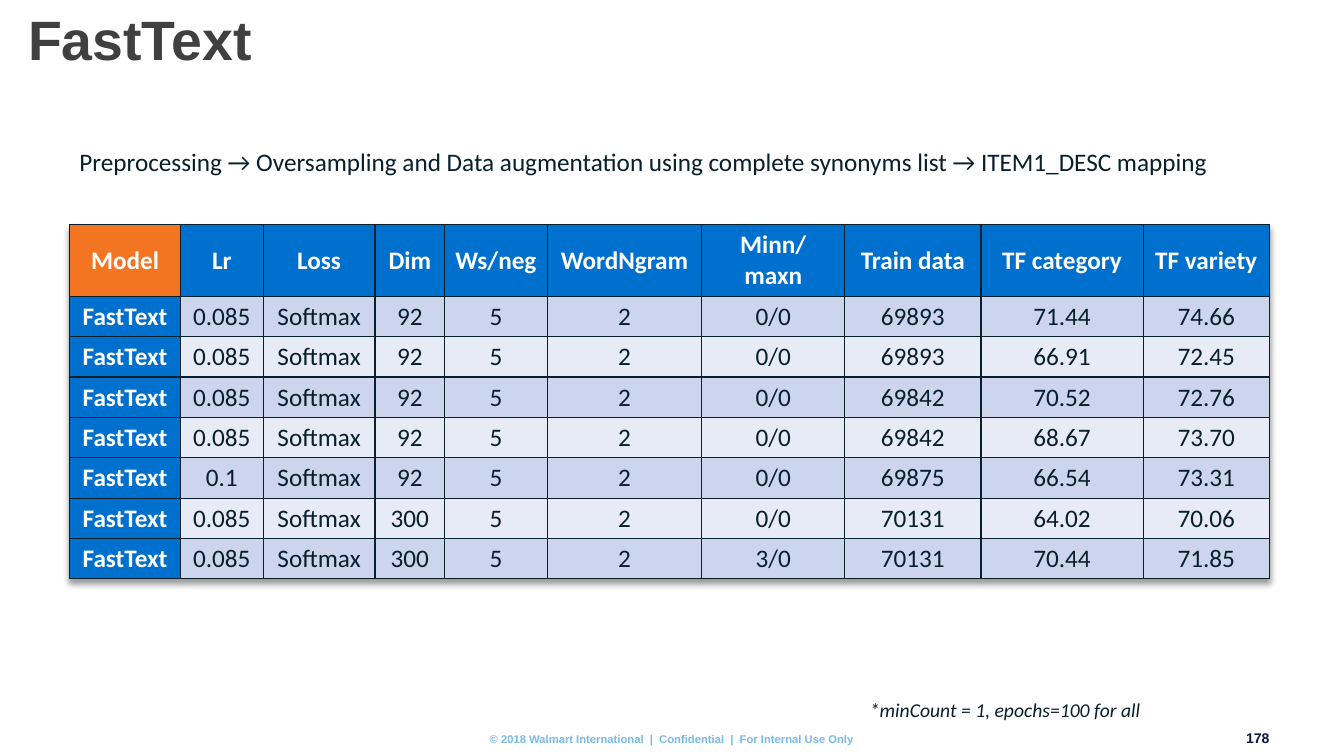
import pptx
import pptx.dml.color
import pptx.enum.text
import pptx.oxml
import pptx.oxml.ns
import pptx.util
from dataclasses import dataclass

Inches = pptx.util.Inches
Pt = pptx.util.Pt
ALIGN = pptx.enum.text.PP_ALIGN
ANCHOR = pptx.enum.text.MSO_ANCHOR


@dataclass(frozen=True)
class Theme:
    heading_font: str = "Arial"
    body_font: str = "Calibri"
    title_size: float = 39.6
    body_size: float = 18
    note_size: float = 14
    number_size: float = 10
    footer_size: float = 8
    title: str = "404041"
    ink: str = "081F2C"
    white: str = "FFFFFF"
    blue: str = "0070CE"
    orange: str = "F47521"
    bands: tuple = ("CCD5ED", "E7EBF6")
    footer: str = "78B9E7"
    number: str = "0B1438"


class SlideBuilder:
    def __init__(self, slide, theme):
        self.slide = slide
        self.theme = theme

    def style(self, paragraph, font, size, color, bold=False, italic=False, align=ALIGN.LEFT):
        paragraph.alignment = align
        for run in paragraph.runs:
            run.font.name = font
            run.font.size = Pt(size)
            run.font.bold = bold
            run.font.italic = italic
            run.font.color.rgb = pptx.dml.color.RGBColor.from_string(color)

    def text(self, place, words, font, size, color, inset=True, anchor=ANCHOR.TOP,
             line_spacing=None, **emphasis):
        frame = self.slide.shapes.add_textbox(*map(Inches, place)).text_frame
        frame.word_wrap = True
        frame.vertical_anchor = anchor
        if not inset:
            frame.margin_left = frame.margin_right = 0
            frame.margin_top = frame.margin_bottom = 0
        frame.text = words
        paragraph = frame.paragraphs[0]
        if line_spacing:
            paragraph.line_spacing = line_spacing
        self.style(paragraph, font, size, color, **emphasis)

    def border(self, cell):
        properties = cell._tc.get_or_add_tcPr()
        for side in ("lnL", "lnR", "lnT", "lnB"):
            properties.append(pptx.oxml.parse_xml(
                f'<a:{side} {pptx.oxml.ns.nsdecls("a")} w="{Pt(1)}"><a:solidFill>'
                f'<a:srgbClr val="{self.theme.ink}"/></a:solidFill></a:{side}>'))

    def cell_colors(self, row, column):
        theme = self.theme
        if row == 0 and column == 0:
            return theme.orange, theme.white
        if row == 0 or column == 0:
            return theme.blue, theme.white
        return theme.bands[(row - 1) % 2], theme.ink

    def table(self, left, top, widths, heights, rows):
        table = self.slide.shapes.add_table(
            len(rows), len(widths), Inches(left), Inches(top),
            Inches(sum(widths)), Inches(sum(heights))).table
        table._tbl.tblPr.insert(0, pptx.oxml.parse_xml(
            f'<a:effectLst {pptx.oxml.ns.nsdecls("a")}>'
            f'<a:outerShdw blurRad="{Pt(4)}" dist="{Pt(3)}" dir="5400000">'
            '<a:srgbClr val="000000"><a:alpha val="40000"/></a:srgbClr>'
            '</a:outerShdw></a:effectLst>'))
        for column, width in zip(table.columns, widths):
            column.width = Inches(width)
        for row, height in zip(table.rows, heights):
            row.height = Inches(height)
        for r, values in enumerate(rows):
            for c, value in enumerate(values):
                cell = table.cell(r, c)
                fill, color = self.cell_colors(r, c)
                self.border(cell)
                cell.fill.solid()
                cell.fill.fore_color.rgb = pptx.dml.color.RGBColor.from_string(fill)
                cell.vertical_anchor = ANCHOR.MIDDLE
                cell.text_frame.text = value
                self.style(cell.text_frame.paragraphs[0], self.theme.body_font,
                           self.theme.body_size, color, bold=r == 0 or c == 0,
                           align=ALIGN.CENTER)


HEADINGS = ("Model", "Lr", "Loss", "Dim", "Ws/neg", "WordNgram", "Minn/maxn",
            "Train data", "TF category", "TF variety")
RUNS = (
    ("0.085", "92", "0/0", "69893", "71.44", "74.66"),
    ("0.085", "92", "0/0", "69893", "66.91", "72.45"),
    ("0.085", "92", "0/0", "69842", "70.52", "72.76"),
    ("0.085", "92", "0/0", "69842", "68.67", "73.70"),
    ("0.1", "92", "0/0", "69875", "66.54", "73.31"),
    ("0.085", "300", "0/0", "70131", "64.02", "70.06"),
    ("0.085", "300", "3/0", "70131", "70.44", "71.85"),
)
COLUMN_WIDTHS = (1.1, 0.82, 1.11, 0.69, 1.02, 1.53, 1.42, 1.35, 1.61, 1.25)


def main():
    deck = pptx.Presentation()
    deck.slide_width = Inches(13.33)
    deck.slide_height = Inches(7.5)
    theme = Theme()
    builder = SlideBuilder(deck.slides.add_slide(deck.slide_layouts[6]), theme)

    builder.text((12.29, 7.24, 0.3, 0.17), "178", theme.heading_font, theme.number_size,
                 theme.number, inset=False, bold=True, align=ALIGN.RIGHT)
    builder.text((4.55, 7.27, 4.23, 0.13),
                 "© 2018 Walmart International  |  Confidential  |  For Internal Use Only",
                 theme.heading_font, theme.footer_size, theme.footer, inset=False,
                 bold=True, align=ALIGN.CENTER)
    builder.text((0.18, 0.16, 11.5, 0.52), "FastText", theme.heading_font, theme.title_size,
                 theme.title, anchor=ANCHOR.MIDDLE, line_spacing=0.9, bold=True)

    results = [("FastText", lr, "Softmax", dim, "5", "2", *scores)
               for lr, dim, *scores in RUNS]
    builder.table(0.69, 2.23, COLUMN_WIDTHS, [0.71] + [0.4] * len(RUNS),
                  [HEADINGS, *results])

    builder.text((0.69, 1.4, 11.5, 0.4),
                 "Preprocessing → Oversampling and Data augmentation using complete "
                 "synonyms list → ITEM1_DESC mapping",
                 theme.body_font, theme.body_size, theme.ink)
    builder.text((8.53, 6.87, 4.33, 0.34), "*minCount = 1, epochs=100 for all",
                 theme.body_font, theme.note_size, theme.ink, italic=True)
    deck.save("out.pptx")


if __name__ == "__main__":
    main()
